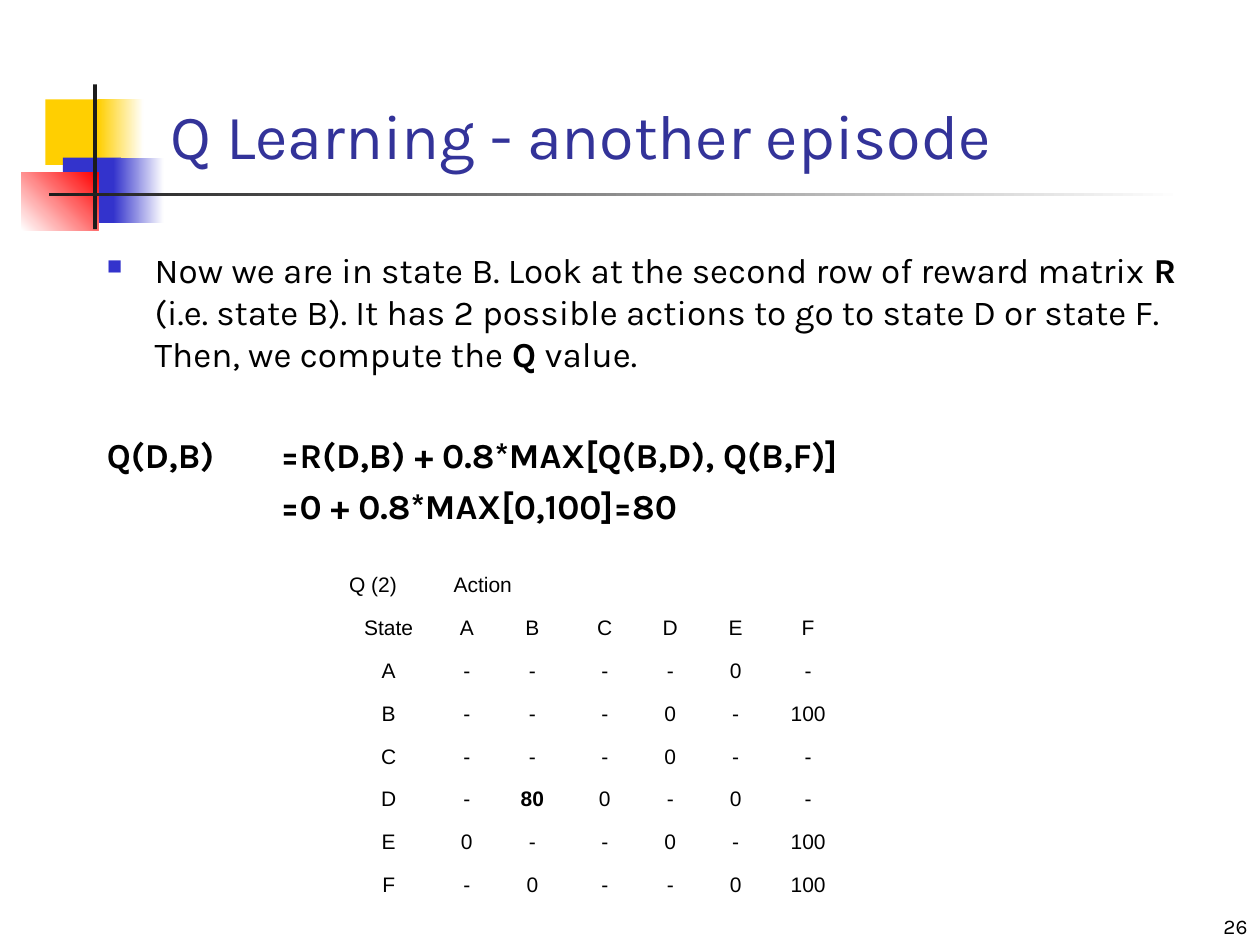
from dataclasses import dataclass

from lxml.etree import SubElement
from pptx import Presentation
from pptx.dml.color import RGBColor
from pptx.enum.shapes import MSO_SHAPE
from pptx.enum.text import MSO_ANCHOR, MSO_AUTO_SIZE, PP_ALIGN
from pptx.oxml.ns import qn
from pptx.util import Emu, Inches, Pt

HUES = {
    "gold": "FFCF01", "blue": "3333CC", "red": "FF0000", "dark": "1C1C1C",
    "white": "FFFFFF", "navy": "333399", "black": "000000",
}
WIDE, HIGH = Inches(10), Inches(7.5)
FONT = "Karla"


@dataclass
class Area:
    left: float
    top: float
    width: float
    height: float

    def box(self) -> tuple:
        return (Emu(int(WIDE * self.left / 100)), Emu(int(HIGH * self.top / 100)),
                Emu(int(WIDE * self.width / 100)), Emu(int(HIGH * self.height / 100)))


@dataclass
class Block:
    area: Area
    start: str
    end: str = ""
    angle: int = 0


BLOCKS = [
    Block(Area(3.6, 10.53, 4.8, 6.93), "gold"),
    Block(Area(7.8, 10.53, 3.6, 6.93), "gold", "white"),
    Block(Area(5, 16.67, 4.6, 6.93), "blue"),
    Block(Area(9, 16.67, 4, 6.93), "blue", "white"),
    Block(Area(1.7, 18.27, 6.1, 6.13), "white", "red", 45),
    Block(Area(7.4, 8.93, 0.3, 15.33), "dark"),
    Block(Area(3.9, 20.4, 90, 0.4), "dark", "white"),
]

INTRO = [
    ("Now we are in state B. Look at the second row of reward matrix ", False),
    ("R ", True),
    ("(i.e. state B). It has 2 possible actions to go to state D or state F. "
     "Then, we compute the ", False),
    ("Q ", True),
    ("value.", False),
]

STATES = "ABCDEF"
VALUES = [
    "- - - - 0 -",
    "- - - 0 - 100",
    "- - - 0 - -",
    "- 80 0 - 0 -",
    "0 - - 0 - 100",
    "- 0 - - 0 100",
]
COLS = [0.83, 0.41, 0.63, 0.52, 0.52, 0.52, 0.63]
HEAD, ROW = 0.62, 0.34


def colour(name: str) -> RGBColor:
    return RGBColor.from_string(HUES[name])


def write(para, text: str, *, size: float, bold: bool = False, hue: str = "black",
          font: str = FONT, align=PP_ALIGN.LEFT, before: float = 0) -> None:
    para.alignment = align
    para.space_before = Pt(before)
    run = para.add_run()
    run.text = text
    run.font.size = Pt(size)
    run.font.bold = bold
    run.font.name = font
    run.font.color.rgb = colour(hue)


def hang(para, depth: float, mark: str = "") -> None:
    props = para._p.get_or_add_pPr()
    props.set("marL", str(Inches(depth)))
    props.set("indent", str(-Inches(depth)))
    if mark:
        tint = SubElement(props, qn("a:buClr"))
        SubElement(tint, qn("a:srgbClr"), val=HUES["blue"])
        SubElement(props, qn("a:buSzPct"), val="60000")
        SubElement(props, qn("a:buChar"), char=mark)


def draw_block(slide, block: Block) -> None:
    shape = slide.shapes.add_shape(MSO_SHAPE.RECTANGLE, *block.area.box())
    shape.shadow.inherit = False
    shape.line.fill.background()
    if block.end:
        shape.fill.gradient()
        shape.fill.gradient_angle = block.angle
        for stop, name in zip(shape.fill.gradient_stops, (block.start, block.end)):
            stop.color.rgb = colour(name)
    else:
        shape.fill.solid()
        shape.fill.fore_color.rgb = colour(block.start)


def add_box(slide, area: Area, anchor=MSO_ANCHOR.TOP):
    frame = slide.shapes.add_textbox(*area.box()).text_frame
    frame.word_wrap = True
    frame.vertical_anchor = anchor
    return frame


def draw_title(slide) -> None:
    title = slide.shapes.title
    title.left, title.top, title.width, title.height = Area(12.5, 10, 85.2, 8.93).box()
    frame = title.text_frame
    frame.auto_size = MSO_AUTO_SIZE.NONE
    frame.vertical_anchor = MSO_ANCHOR.BOTTOM
    write(frame.paragraphs[0], "Q Learning - another episode", size=36, hue="navy")


def draw_body(slide) -> None:
    frame = add_box(slide, Area(7.5, 25.6, 88.3, 68.93))
    intro = frame.paragraphs[0]
    hang(intro, 0.38, "■")
    for text, bold in INTRO:
        write(intro, text, size=20, bold=bold)
    lead = frame.add_paragraph()
    hang(lead, 1.38)
    write(lead, "Q(D,B)\t=R(D,B) + 0.8*MAX[Q(B,D), Q(B,F)]", size=20, bold=True, before=34)
    result = frame.add_paragraph()
    result._p.get_or_add_pPr().set("marL", str(Inches(1.38)))
    write(result, "=0 + 0.8*MAX[0,100]=80", size=20, bold=True, before=5)


def draw_table(slide) -> None:
    rows = [["Q (2)", "Action", "", "", "", "", ""], ["State", *STATES]]
    rows += [[state, *line.split()] for state, line in zip(STATES, VALUES)]
    area = Area(26.7, 55.6, 40.6, 40.27)
    grid = slide.shapes.add_table(len(rows), len(COLS), *area.box()).table
    grid.first_row = grid.horz_banding = False
    for col, width in zip(grid.columns, COLS):
        col.width = Inches(width)
    for r, row in enumerate(rows):
        grid.rows[r].height = Inches(ROW if r else HEAD)
        for c, text in enumerate(row):
            cell = grid.cell(r, c)
            cell.fill.background()
            cell.vertical_anchor = MSO_ANCHOR.BOTTOM
            if text:
                write(cell.text_frame.paragraphs[0], text, size=12, font="Arial",
                      bold=text == "80", align=PP_ALIGN.CENTER if r else PP_ALIGN.LEFT)
            else:
                cell.text_frame.paragraphs[0].font.size = Pt(12)
    grid.cell(0, 1).merge(grid.cell(0, 2))


def main() -> None:
    deck = Presentation()
    deck.slide_width, deck.slide_height = WIDE, HIGH
    slide = deck.slides.add_slide(deck.slide_layouts[5])
    for block in BLOCKS:
        draw_block(slide, block)
    draw_title(slide)
    draw_body(slide)
    draw_table(slide)
    number = add_box(slide, Area(79.2, 94.4, 20.8, 5.6), MSO_ANCHOR.BOTTOM)
    write(number.paragraphs[0], "26", size=12, align=PP_ALIGN.RIGHT)
    deck.save("out.pptx")


if __name__ == "__main__":
    main()
